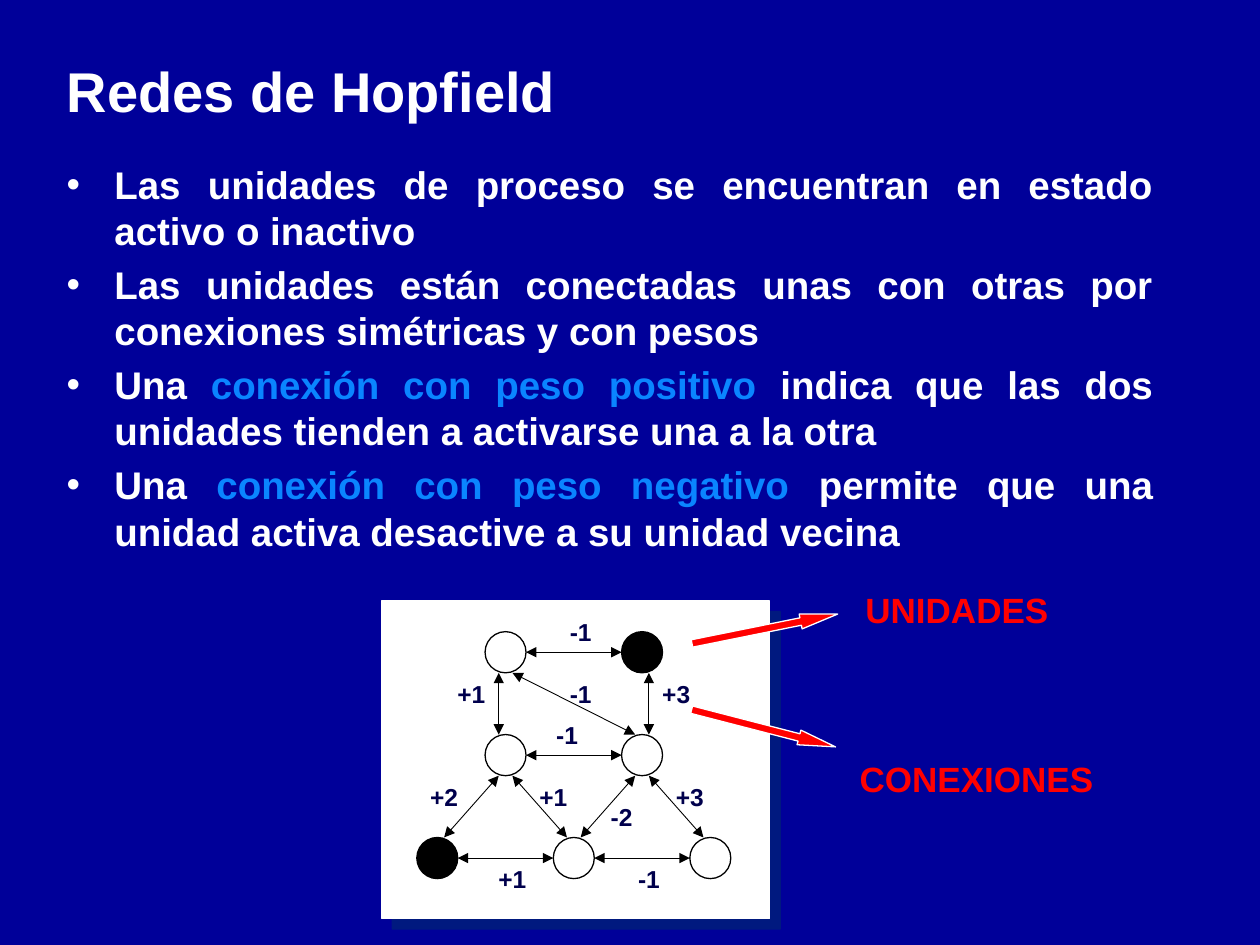
from dataclasses import dataclass

from lxml import etree
from pptx import Presentation
from pptx.dml.color import RGBColor
from pptx.enum.shapes import MSO_CONNECTOR, MSO_SHAPE
from pptx.enum.text import MSO_ANCHOR, PP_ALIGN
from pptx.oxml.ns import qn
from pptx.util import Inches, Pt

RECT, OVAL, ARROW = MSO_SHAPE.RECTANGLE, MSO_SHAPE.OVAL, MSO_SHAPE.DOWN_ARROW
LINE = MSO_CONNECTOR.STRAIGHT
LEFT, MID, FULL = PP_ALIGN.LEFT, PP_ALIGN.CENTER, PP_ALIGN.JUSTIFY
TOP, CENTER = MSO_ANCHOR.TOP, MSO_ANCHOR.MIDDLE


@dataclass(frozen=True)
class Theme:
    font: str = "Arial"
    back: str = "000099"
    white: str = "FFFFFF"
    black: str = "000000"
    blue: str = "0A85FF"
    navy: str = "00004C"
    red: str = "FF0000"
    shade: str = "003366"
    title: int = 32
    body: int = 22
    note: int = 20
    small: int = 14
    edge: float = 0.75
    thin: float = 0.5


@dataclass(frozen=True)
class Grid:
    left: float
    top: float
    col: float
    row: float

    def point(self, x, y):
        return Inches(self.left + x * self.col), Inches(self.top + y * self.row)

    def box(self, x, y, w, h):
        return *self.point(x, y), Inches(w * self.col), Inches(h * self.row)


PAGE = Grid(0, 0, 0.1, 0.075)  # percent of the slide's width and height
NET = Grid(3.2, 4.85, 0.65 / 6, 0.98 / 6)


def add(parent, tag, **attrs):
    """Append an XML child with the given attributes."""
    item = etree.SubElement(parent, qn(tag))
    for key, value in attrs.items():
        item.set(key, value)
    return item


class Board:
    def __init__(self, slide, theme):
        self.theme = theme
        self.area = slide.shapes
        slide.background.fill.solid()
        slide.background.fill.fore_color.rgb = RGBColor.from_string(theme.back)

    def text(self, paras, place, size, color, align=LEFT, anchor=TOP, mark=None):
        """Write paragraphs, each a list of (words, colour or None) runs."""
        frame = self.area.add_textbox(*place).text_frame
        frame.word_wrap = True
        frame.vertical_anchor = anchor
        for i, runs in enumerate(paras):
            para = frame.paragraphs[0] if i == 0 else frame.add_paragraph()
            para.alignment = align
            if i:
                para.space_before = Pt(size * 0.2)
            if mark:
                props = para._p.get_or_add_pPr()
                props.set("marL", str(Inches(0.38)))
                props.set("indent", str(-Inches(0.38)))
                add(props, "a:buFont", typeface=self.theme.font)
                add(props, "a:buChar", char=mark)
            for words, tint in runs:
                run = para.add_run()
                run.text = words
                font = run.font
                font.name, font.size, font.bold = self.theme.font, Pt(size), True
                font.color.rgb = RGBColor.from_string(tint or color)

    def shape(self, kind, place, fill, line):
        item = self.area.add_shape(kind, *place)
        item.shadow.inherit = False
        item.fill.solid()
        item.fill.fore_color.rgb = RGBColor.from_string(fill)
        item.line.color.rgb = RGBColor.from_string(line)
        item.line.width = Pt(self.theme.edge)
        return item

    def card(self, place):
        """Draw the white panel with its offset shadow."""
        item = self.shape(RECT, place, self.theme.white, self.theme.white)
        effect = item.element.spPr.find(qn("a:effectLst"))
        shade = add(effect, "a:outerShdw", blurRad="0", dist=str(Pt(8.5)),
                    dir="2700000", algn="ctr", rotWithShape="0")
        tint = add(shade, "a:srgbClr", val=self.theme.shade)
        add(tint, "a:alpha", val="50000")

    def arrow(self, place, turn):
        item = self.shape(ARROW, place, self.theme.red, self.theme.white)
        item.adjustments[0], item.adjustments[1] = 0.5, 2.493
        item.rotation = turn

    def link(self, start, end):
        """Draw a line with an arrowhead at both ends."""
        item = self.area.add_connector(LINE, *start, *end)
        item.line.color.rgb = RGBColor.from_string(self.theme.black)
        item.line.width = Pt(self.theme.thin)
        props = item.element.spPr
        for tag in ("a:headEnd", "a:tailEnd"):
            add(props.find(qn("a:ln")), tag, type="triangle")
        add(props, "a:effectLst")


NODES = [(1, 11, True), (6, 6, False), (6, 1, False), (16, 1, True),
         (16, 6, False), (21, 11, False), (11, 11, False)]
LINKS = [((7, 3), (7, 6)), ((18, 3), (18, 6)), ((9, 2), (16, 2)),
         ((14, 12), (21, 12)), ((4, 12), (11, 12)), ((9, 7), (16, 7)),
         ((18, 8), (22, 11)), ((8, 8), (12, 11)), ((17, 8), (13, 11)),
         ((7, 8), (3, 11)), ((8, 3), (17, 6))]
LOADS = [("-1", 10, 0), ("-1", 10, 3), ("+1", 2, 3), ("+1", 8, 8),
         ("+3", 18, 8), ("-1", 9, 5), ("+2", 0, 8), ("+3", 17, 3),
         ("-1", 15, 12), ("+1", 5, 12), ("-2", 13, 9)]


def main():
    deck = Presentation()
    deck.slide_width, deck.slide_height = Inches(10), Inches(7.5)
    slide = deck.slides.add_slide(deck.slide_layouts[6])
    theme = Theme()
    board = Board(slide, theme)

    board.text([[("Redes de Hopfield", None)]], PAGE.box(4.3, 3.73, 92.1, 11.6),
               theme.title, theme.white, anchor=CENTER)
    board.card(PAGE.box(30.3, 63.6, 30.8, 33.6))

    board.area = slide.shapes.add_group_shape().shapes
    for x, y, live in NODES:
        board.shape(OVAL, NET.box(x, y, 3, 2),
                    theme.black if live else theme.white, theme.black)
    for start, end in LINKS:
        board.link(NET.point(*start), NET.point(*end))
    for load, x, y in LOADS:
        board.text([[(load, None)]], NET.box(x, y, 6, 2),
                   theme.small, theme.navy, align=MID)
    board.area = slide.shapes

    for word, x, y, w in [("CONEXIONES", 66.5, 79.47, 22),
                          ("UNIDADES", 67.3, 61.6, 17.3)]:
        board.text([[(word, None)]], PAGE.box(x, y, w, 6.27),
                   theme.note, theme.red, align=MID)
    for x, y, turn in [(60.1, 58.67, 258.6), (60, 69.2, 284.5)]:
        board.arrow(PAGE.box(x, y, 1.2, 15.73), turn)

    board.text([
        [("Las unidades de proceso se encuentran en estado activo o inactivo", None)],
        [("Las unidades están conectadas unas con otras por "
          "conexiones simétricas y con pesos", None)],
        [("Una ", None), ("conexión con peso positivo ", theme.blue),
         ("indica que las dos unidades tienden a activarse una a la otra", None)],
        [("Una ", None), ("conexión con peso negativo ", theme.blue),
         ("permite que una unidad activa desactive a su unidad vecina", None)],
    ], PAGE.box(4.3, 16.4, 88.2, 44.13), theme.body, theme.white, align=FULL, mark="•")

    deck.save("out.pptx")


if __name__ == "__main__":
    main()
